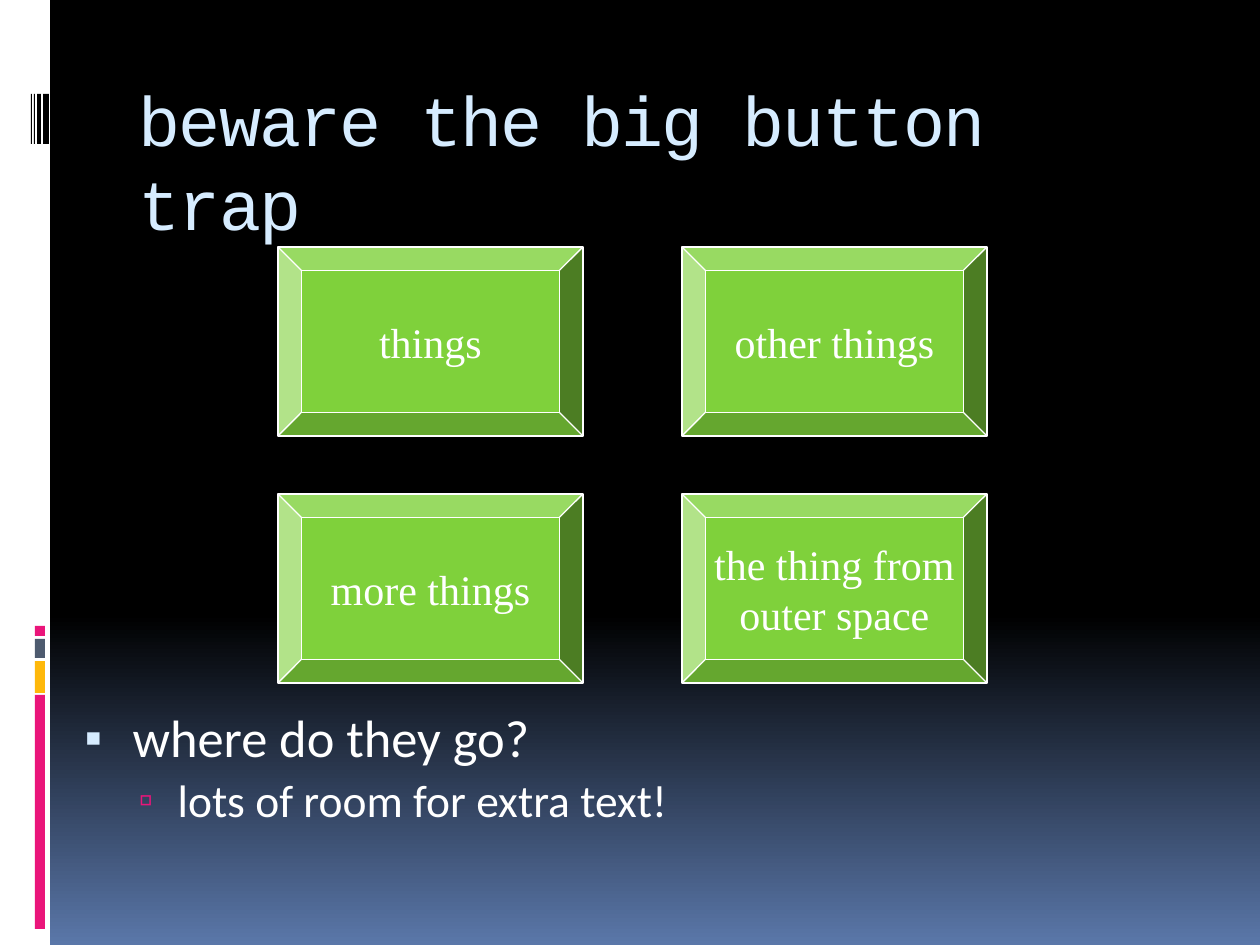
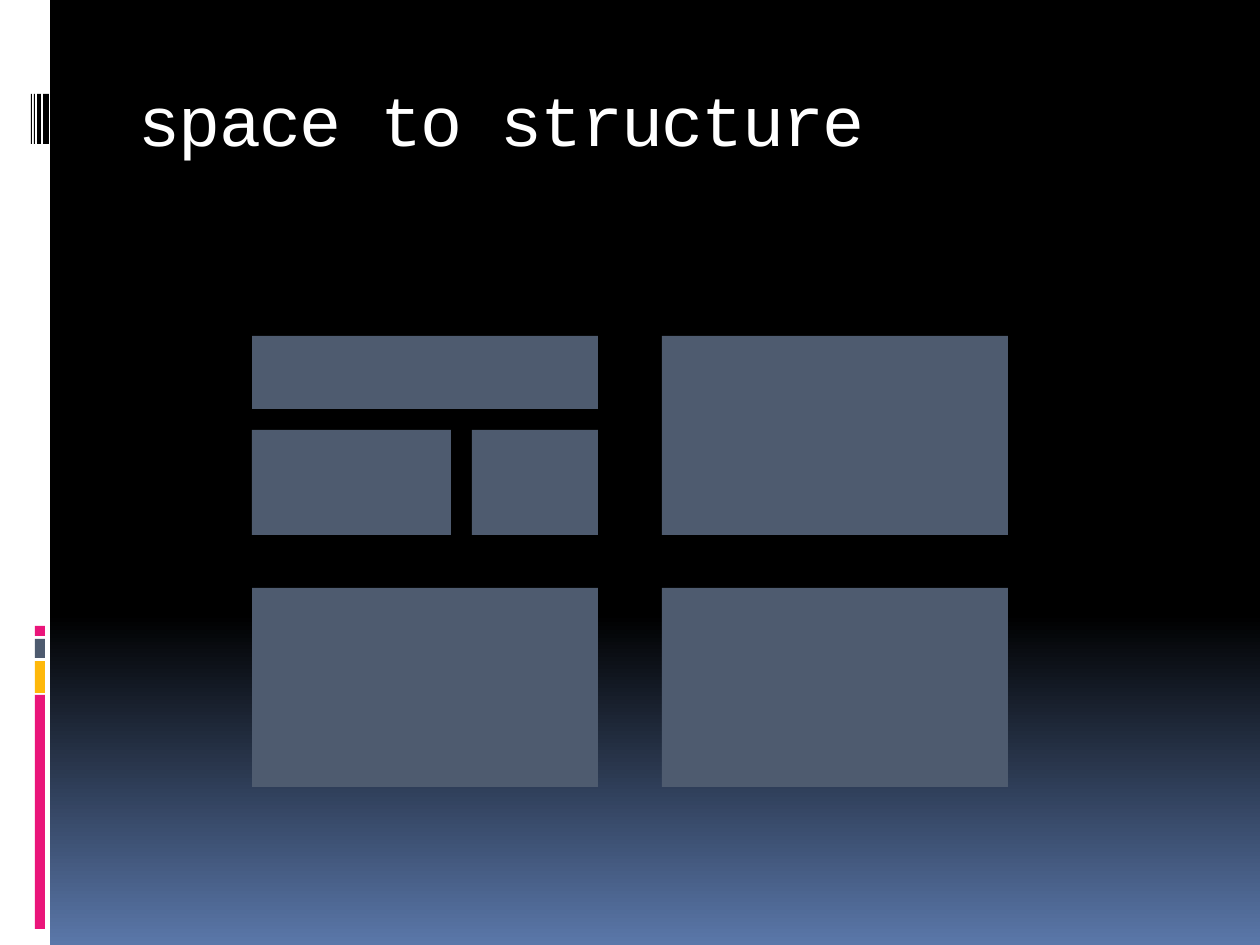
from lxml.etree import SubElement
from pptx import Presentation
from pptx.dml.color import RGBColor
from pptx.enum.shapes import MSO_SHAPE
from pptx.enum.text import MSO_ANCHOR, MSO_AUTO_SIZE, PP_ALIGN
from pptx.oxml.ns import qn
from pptx.util import Emu, Pt

SCALE = 914400 / 126
HUES = {
    "black": "000000", "white": "FFFFFF", "blue": "5A77A9", "pale": "D6ECFF",
    "pink": "EA157A", "gold": "FEB80A", "slate": "4E5B6F", "green": "7FD13B",
}
FONTS = {
    "title": {"name": "Courier New", "size": Pt(40), "bold": False},
    "list": {"name": "Calibri", "size": Pt(30)},
    "sub": {"name": "Calibri", "size": Pt(26)},
    "button": {"name": "Times New Roman", "size": Pt(24)},
}
LIST_FRAME = {"vertical_anchor": MSO_ANCHOR.TOP, "auto_size": MSO_AUTO_SIZE.NONE, "word_wrap": True}
TITLE_FRAME = {
    **LIST_FRAME,
    "margin_top": Emu(round(6 * SCALE)), "margin_right": Emu(round(20 * SCALE)),
}
BUTTON_FRAME = {"vertical_anchor": MSO_ANCHOR.MIDDLE, "word_wrap": False}
BANDS = [
    (0, 0, 50, 945, "white"),
    (35, 695, 10, 234, "pink"),
    (35, 661, 10, 32, "gold"),
    (35, 639, 10, 19, "slate"),
    (35, 626, 10, 10, "pink"),
    (43, 94, 6, 50, "black"),
    (37, 94, 4, 50, "black"),
    (34, 94, 1, 50, "black"),
    (31, 94, 1, 50, "black"),
]


def px(count):
    return Emu(round(count * SCALE))


def hue(name):
    return RGBColor.from_string(HUES[name])


def apply(target, values):
    for key, value in values.items():
        setattr(target, key, value)


def place(shape, box):
    apply(shape, dict(zip(("left", "top", "width", "height"), map(px, box))))


def paint(font, kind, color):
    apply(font, FONTS[kind])
    font.color.rgb = hue(color)


def block(shapes, box, color, kind=MSO_SHAPE.RECTANGLE):
    shape = shapes.add_shape(kind, *map(px, box))
    shape.shadow.inherit = False
    shape.fill.solid()
    shape.fill.fore_color.rgb = hue(color)
    shape.line.fill.background()
    return shape


def dress(master, slide):
    fill = master.background.fill
    fill.gradient()
    fill.gradient_angle = 270
    for stop, spot, color in zip(fill.gradient_stops, (0.65, 1), ("black", "blue")):
        stop.position = spot
        stop.color.rgb = hue(color)
    for index, (*box, color) in enumerate(BANDS, 20):
        band = block(slide.shapes, box, color).element
        band.nvSpPr.cNvPr.set("id", str(index))
        master.shapes.element.append(band)


def head(slide, text, color):
    title = slide.shapes.title
    place(title, (126, 71, 1071, 126))
    frame = title.text_frame
    apply(frame, TITLE_FRAME)
    frame.text = text
    line = frame.paragraphs[0]
    apply(line, {"alignment": PP_ALIGN.LEFT, "line_spacing": Pt(48)})
    run = line.runs[0]
    paint(run.font, "title", color)
    run.font._element.set("spc", "-100")


def bullet(line, mark, color, size, left, hang):
    props = line._p.get_or_add_pPr()
    props.set("marL", str(px(left)))
    props.set("indent", str(px(-hang)))
    SubElement(SubElement(props, qn("a:buClr")), qn("a:srgbClr")).set("val", HUES[color])
    SubElement(props, qn("a:buSzPct")).set("val", str(size * 1000))
    SubElement(props, qn("a:buChar")).set("char", mark)


def points(slide, box):
    body = slide.placeholders[1]
    place(body, box)
    frame = body.text_frame
    apply(frame, LIST_FRAME)
    frame.text = "where do they go?\nlots of room for extra text!"
    rows = [
        ("list", 7, ("▪", "pale", 95, 57, 48)),
        ("sub", 5, ("▫", "pink", 90, 102, 39)),
    ]
    for level, (line, (kind, gap, mark)) in enumerate(zip(frame.paragraphs, rows)):
        apply(line, {"level": level, "line_spacing": 0.9, "space_before": Pt(gap)})
        bullet(line, *mark)
        paint(line.runs[0].font, kind, "white")


def buttons(slide, left, top):
    group = slide.shapes.add_group_shape()
    labels = ["things", "other things", "more things", "the thing from\nouter space"]
    for index, label in enumerate(labels):
        row, col = divmod(index, 2)
        box = (left + col * 404, top + row * 247, 305, 189)
        button = block(group.shapes, box, "green", MSO_SHAPE.BEVEL)
        button.line.color.rgb = hue("white")
        button.line.width = Pt(0.75)
        frame = button.text_frame
        apply(frame, BUTTON_FRAME)
        frame.text = label
        for line in frame.paragraphs:
            line.alignment = PP_ALIGN.CENTER
            paint(line.runs[0].font, "button", "white")


def panels(slide, left, top):
    group = slide.shapes.add_group_shape()
    parts = [(0, 0, 346, 73), (0, 94, 199, 105), (220, 94, 126, 105)]
    parts += [(x, y, 346, 199) for x, y in ((410, 0), (0, 252), (410, 252))]
    for x, y, width, height in parts:
        block(group.shapes, (left + x, top + y, width, height), "slate")


def main():
    deck = Presentation()
    deck.slide_width, deck.slide_height = px(1260), px(945)

    trap = deck.slides.add_slide(deck.slide_layouts[1])
    dress(deck.slide_master, trap)
    head(trap, "beware the big button trap", "pale")
    points(trap, (63, 706, 1134, 139))
    buttons(trap, 278, 247)

    space = deck.slides.add_slide(deck.slide_layouts[5])
    head(space, "space to structure", "white")
    panels(space, 252, 336)

    deck.save("out.pptx")


if __name__ == "__main__":
    main()
